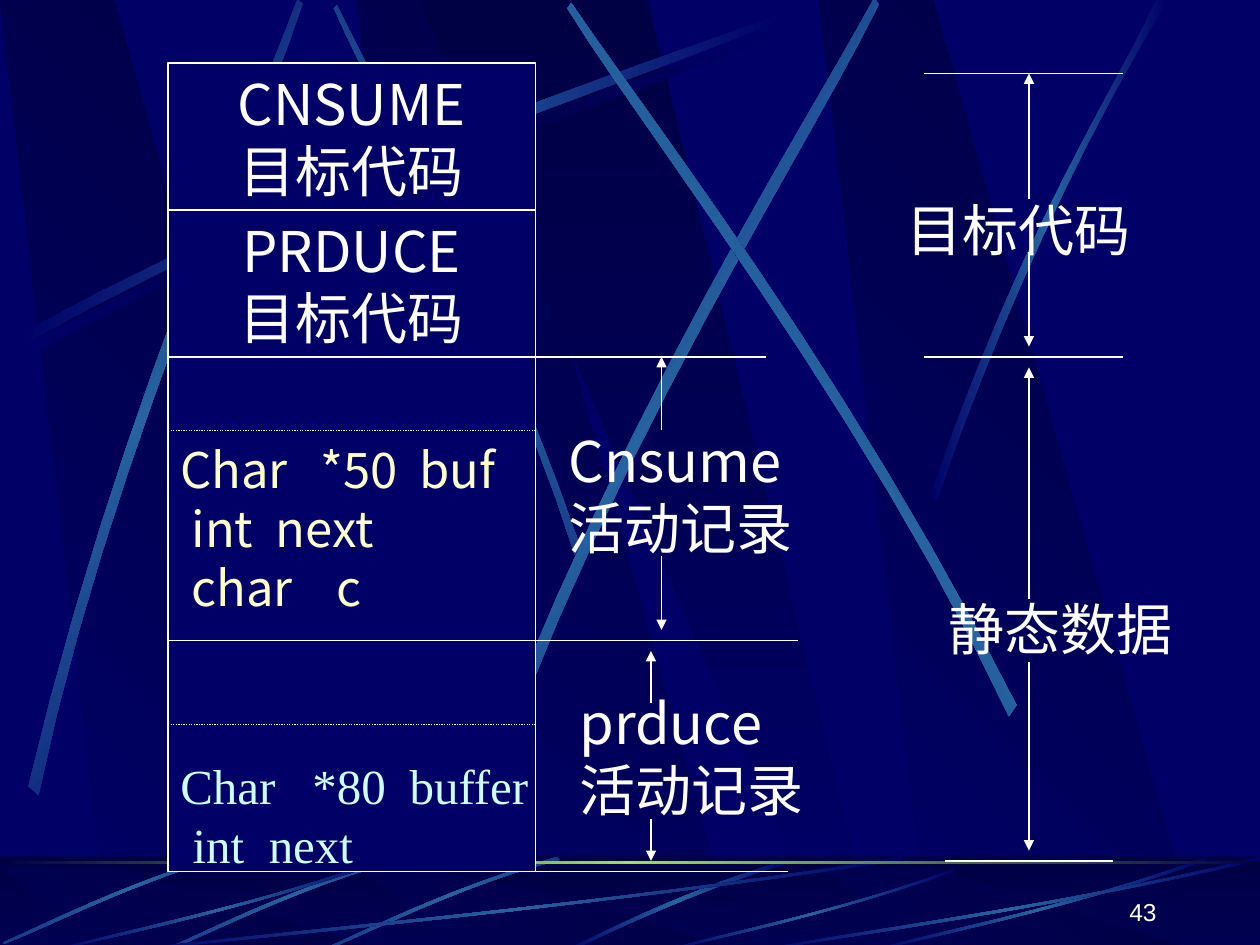
"""Builds the memory layout slide for the CNSUME and PRDUCE code and data."""
import math
from copy import deepcopy

from lxml import etree
from pptx import Presentation
from pptx.dml.color import RGBColor
from pptx.enum import dml, shapes, text
from pptx.oxml import ns
from pptx.util import Pt

NAVY = RGBColor(0x00, 0x00, 0x66)
MIDNIGHT = RGBColor(0x00, 0x00, 0x44)
STEEL = RGBColor(0x26, 0x63, 0xA0)
LIME = RGBColor(0x9C, 0xE1, 0x57)
WHITE = RGBColor(0xFF, 0xFF, 0xFF)
CREAM = RGBColor(0xFF, 0xFF, 0xCC)
ICE = RGBColor(0xCC, 0xFF, 0xFF)
SANS, SERIF = "Noto Sans CJK JP", "Times New Roman"

SHADE = [MIDNIGHT, NAVY]
GLOW = [NAVY, STEEL, NAVY]
DIM = [NAVY, MIDNIGHT, NAVY]
HORIZON = [MIDNIGHT, LIME, MIDNIGHT]
VEIL = [MIDNIGHT]

BAR = None
WEDGE = [(0.29, 1), (1, 1), (0.3, 0), (0, 0)]
CENTRE_WEDGE = [(0, 0), (0.9, 1), (1, 1), (0.5, 0)]


def curved_band(*controls):
    band = []
    for curve in (controls[:4], controls[4:]):
        for step in range(13):
            t = step / 12
            weights = [math.comb(3, k) * t ** k * (1 - t) ** (3 - k) for k in range(4)]
            band.append([sum(w * point[axis] for w, point in zip(weights, curve))
                         for axis in (0, 1)])
    return band


RISING = curved_band((0, 0.96), (0.43, 0.43), (0.83, 0.15), (1, 0),
                     (1, 0.02), (0.83, 0.19), (0.38, 0.5), (0, 1))
FALLING = [(1 - u, v) for u, v in RISING]
STEEP = curved_band((0, 0.99), (0.4, 0.44), (0.79, 0.17), (0.95, 0),
                    (1, 0), (0.52, 0.37), (0.16, 0.81), (0.03, 1))
BOWED = curved_band((0.99, 0), (0.49, 0.37), (0.16, 0.82), (0, 0.99),
                    (0.03, 1), (0.23, 0.75), (0.68, 0.25), (1, 0.04))
SWEEP = curved_band((1, 0.04), (0.57, 0.57), (0.17, 0.85), (0.01, 1),
                    (0, 0.99), (0.17, 0.81), (0.62, 0.51), (1, 0))

wall_streaks = [
    (RISING, DIM, (14.5, 13, 438, 192), 0),
    (FALLING, GLOW, (101.5, 97, 318, 126), 45),
    (RISING, GLOW, (10, 7, 438, 192), 0),
    (RISING, GLOW, (-123, 131, 438, 192), 311.7),
    (RISING, GLOW, (166.5, 115, 449, 217), 321.6),
    (FALLING, GLOW, (232.5, 109.5, 438, 192), 34.8),
    (STEEP, GLOW, (531.5, 0, 136, 286), 0),
]
floor_streaks = [(BOWED, GLOW, (322.5, 491, 129.5, 52.5), 0)]
for left, top in [(186, 487), (96, 487), (3.5, 483)]:
    floor_streaks.append((FALLING, GLOW, (left, top, 132, 60), 314.9))
for left, top, width, height in [(72, 489.5, 444, 54), (30, 489.5, 192, 54),
                                 (379.5, 496, 166.5, 47.5), (498, 489.5, 192, 54),
                                 (432, 489.5, 288, 54)]:
    floor_streaks.append((SWEEP, GLOW, (left, top, width, height), 0))

wedges = {}
for part, top, height in [("wall", 0, 541.5), ("floor", 495.5, 48)]:
    wedges[part] = [(WEDGE, SHADE, (left, top, 217.5, height), 0, 225)
                    for left in (204, 0, 468)]
    wedges[part].append((CENTRE_WEDGE, SHADE, (240, top, 260, height), 0, 270))

scenery = (wedges["wall"]
           + [(*streak, streak[-1]) for streak in wall_streaks]
           + [(BAR, SHADE, (0, 489.5, 720, 54), 0, 270)]
           + wedges["floor"]
           + [(BAR, VEIL, (0, 489, 720, 54), 0, 0)]
           + [(*streak, streak[-1]) for streak in floor_streaks]
           + [(BAR, HORIZON, (0, 492.2, 720, 1.5), 0, 0)])

deck = Presentation()
deck.slide_width, deck.slide_height = Pt(720), Pt(540)
slide = deck.slides.add_slide(deck.slide_layouts[6])
slide.background.fill.solid()
slide.background.fill.fore_color.rgb = NAVY

for outline, colours, box, turn, gradient_angle in scenery:
    left, top, width, height = box
    if outline is BAR:
        piece = slide.shapes.add_shape(shapes.MSO_SHAPE.RECTANGLE, *[Pt(n) for n in box])
    else:
        cos, sin = math.cos(math.radians(turn)), math.sin(math.radians(turn))
        corners = []
        for u, v in outline:
            x, y = (u - 0.5) * width, (v - 0.5) * height
            corners.append((Pt(left + width / 2 + x * cos - y * sin),
                            Pt(top + height / 2 + x * sin + y * cos)))
        builder = slide.shapes.build_freeform(*corners[0])
        builder.add_line_segments(corners[1:], close=True)
        piece = builder.convert_to_shape()
    piece.shadow.inherit = False
    piece.line.fill.background()
    if colours is VEIL:
        piece.fill.solid()
        piece.fill.fore_color.rgb = MIDNIGHT
        tint = piece._element.spPr.find(".//" + ns.qn("a:srgbClr"))
        etree.SubElement(tint, ns.qn("a:alpha"), val="50000")
        continue
    piece.fill.gradient()
    piece.fill.gradient_angle = gradient_angle
    stops = piece._element.spPr.find(".//" + ns.qn("a:gsLst"))
    for _ in colours[2:]:
        stops.append(deepcopy(stops[-1]))
    for i, (stop, colour) in enumerate(zip(piece.fill.gradient_stops, colours)):
        stop.position = i / (len(colours) - 1)
        stop.color.rgb = colour

LEFT, CENTRE, RIGHT = text.PP_ALIGN.LEFT, text.PP_ALIGN.CENTER, text.PP_ALIGN.RIGHT
TOP, MIDDLE, BOTTOM = text.MSO_ANCHOR.TOP, text.MSO_ANCHOR.MIDDLE, text.MSO_ANCHOR.BOTTOM
code = {"size": Pt(32), "name": SANS, "color": WHITE}
label = {"size": Pt(32), "name": SERIF, "color": WHITE}
consume_data = {"size": Pt(28), "name": SANS, "color": CREAM}
produce_data = {"size": Pt(28), "name": SERIF, "color": ICE}
page = {"size": Pt(14), "name": "Arial", "color": WHITE}

blocks = [
    (True, (96, 36, 210, 84), 3.6, MIDDLE, CENTRE, code, [("CNSUME", []), ("目标代码", [])]),
    (True, (96, 120, 210, 84), 3.6, MIDDLE, CENTRE, code, [("PRDUCE", []), ("目标代码", [])]),
    (True, (96, 204, 210, 162), 47.4, TOP, LEFT, consume_data,
     [("Char\t*50\tbuf", [80, 136.5]), ("\tint\tnext", [6.5, 54.5]), ("\tchar\tc", [6.5, 89])]),
    (True, (96, 366, 210, 132), 66, TOP, LEFT, produce_data,
     [("Char\t*80\tbuffer", [75.5, 131]), ("\tint\tnext", [7, 50.5])]),
    (False, (318, 240, 144, 84), 3.6, TOP, LEFT, code, [("Cnsume", []), ("活动记录", [])]),
    (False, (324, 390, 144, 84), 3.6, TOP, LEFT, code, [("prduce", []), ("活动记录", [])]),
    (False, (504, 108, 156, 46), 3.6, TOP, CENTRE, label, [("目标代码", [])]),
    (False, (528, 336, 156, 46), 3.6, TOP, CENTRE, label, [("静态数据", [])]),
    (False, (518, 497, 150, 36), 3.6, BOTTOM, RIGHT, page, [("43", [])]),
]
for framed, box, top_inset, anchor, align, style, lines in blocks:
    place = [Pt(n) for n in box]
    if framed:
        block = slide.shapes.add_shape(shapes.MSO_SHAPE.RECTANGLE, *place)
        block.shadow.inherit = False
        block.fill.solid()
        block.fill.fore_color.rgb = NAVY
        block.line.color.rgb = WHITE
        block.line.width = Pt(0.75)
    else:
        block = slide.shapes.add_textbox(*place)
    settings = {"word_wrap": True, "vertical_anchor": anchor, "margin_left": Pt(7.2),
                "margin_right": Pt(0 if framed and align == LEFT else 7.2),
                "margin_top": Pt(top_inset), "margin_bottom": Pt(3.6)}
    for key, value in settings.items():
        setattr(block.text_frame, key, value)
    for i, (words, tab_stops) in enumerate(lines):
        line = block.text_frame.add_paragraph() if i else block.text_frame.paragraphs[0]
        line.alignment = align
        line.line_spacing = Pt(style["size"].pt * 1.2)
        if tab_stops:
            tabs = etree.SubElement(line._p.get_or_add_pPr(), ns.qn("a:tabLst"))
            for position in tab_stops:
                etree.SubElement(tabs, ns.qn("a:tab"), pos=str(Pt(position)), algn="l")
        run = line.add_run()
        run.text = words
        for key in ("size", "name"):
            setattr(run.font, key, style[key])
        run.font.color.rgb = style["color"]
        etree.SubElement(run._r.get_or_add_rPr(), ns.qn("a:ea"), typeface=SANS)

dividers = [(96, y, 306, y) for y in (246, 414)]
guides = [(start, y, end, y) for start, end, y in
          [(306, 438, 204), (306, 456, 366), (306, 450, 498),
           (528, 642, 42), (528, 642, 204), (540, 636, 492)]]
arrows = [(x, start, x, end) for x, start, end in
          [(378, 246, 204), (378, 318, 360), (372, 402, 372), (372, 468, 492),
           (588, 114, 42), (588, 144, 198), (588, 342, 210), (588, 378, 486)]]
for ends in dividers + guides + arrows:
    rule = slide.shapes.add_connector(shapes.MSO_CONNECTOR.STRAIGHT, *[Pt(n) for n in ends])
    rule.line.color.rgb = WHITE
    rule.line.width = Pt(0.75)
    if ends in dividers:
        rule.line.dash_style = dml.MSO_LINE.ROUND_DOT
    if ends in arrows:
        etree.SubElement(rule.line._get_or_add_ln(), ns.qn("a:tailEnd"), type="triangle")
    etree.SubElement(rule._element.spPr, ns.qn("a:effectLst"))

deck.save("out.pptx")
